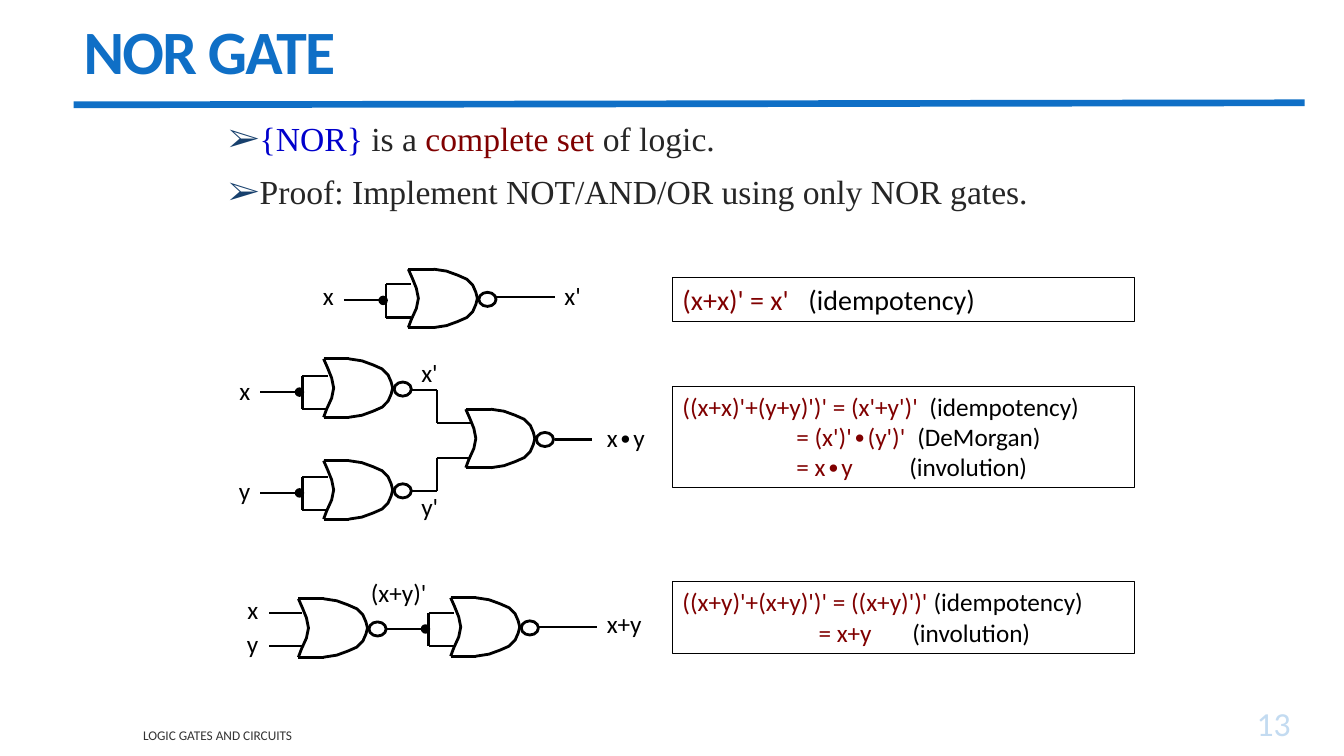
from lxml import etree
from pptx import Presentation
from pptx import util as u
from pptx.dml.color import RGBColor
from pptx.enum import shapes, text as t
from pptx.oxml.ns import qn

BLACK, BLUE, MAROON, GREY = "000000", "0F6FC6", "800000", "262626"

presentation = Presentation()
presentation.slide_width = u.Inches(13.33)
presentation.slide_height = u.Inches(7.5)
slide = presentation.slides.add_slide(presentation.slide_layouts[6])


def color(hex_string):
    return RGBColor.from_string(hex_string)


def write(paragraphs, box, size=18, font="Calibri", bold=False, spacing=None,
          align=t.PP_ALIGN.LEFT, anchor=t.MSO_ANCHOR.TOP, before=0,
          line_spacing=None, bullet=None, tabs=(), border=None):
    shape = slide.shapes.add_textbox(*[u.Inches(value) for value in box])
    if border:
        shape.line.color.rgb = color(border)
        shape.line.width = u.Pt(0.75)
    frame = shape.text_frame
    frame.word_wrap = True
    frame.vertical_anchor = anchor
    for index, runs in enumerate(paragraphs):
        paragraph = frame.add_paragraph() if index else frame.paragraphs[0]
        paragraph.alignment = align
        paragraph.space_before = u.Pt(before if index else 0)
        if line_spacing:
            paragraph.line_spacing = line_spacing
        properties = paragraph._p.get_or_add_pPr()
        if bullet:
            properties.set("marL", str(u.Inches(0.27)))
            properties.set("indent", str(-u.Inches(0.27)))
            bullet_color = etree.SubElement(properties, qn("a:buClr"))
            etree.SubElement(bullet_color, qn("a:srgbClr"), val=bullet)
            etree.SubElement(properties, qn("a:buFont"), typeface=font)
            etree.SubElement(properties, qn("a:buChar"), char="➢")
        if tabs and tabs[index]:
            tab_list = etree.SubElement(properties, qn("a:tabLst"))
            for stop in tabs[index]:
                etree.SubElement(tab_list, qn("a:tab"), pos=str(u.Inches(stop)), algn="l")
        for words, hex_string in runs:
            run = paragraph.add_run()
            run.text = words
            run.font.size = u.Pt(size)
            run.font.name = font
            run.font.bold = bold
            run.font.color.rgb = color(hex_string)
            if spacing:
                run._r.get_or_add_rPr().set("spc", str(spacing))


write([[("LOGIC GATES AND CIRCUITS", "333333")]], (1.32, 7.17, 7.52, 0.25),
      size=9.5, anchor=t.MSO_ANCHOR.MIDDLE)
write([[("13", "C3DBF1")]], (11.6, 7, 1.3, 0.42), size=24,
      align=t.PP_ALIGN.RIGHT, anchor=t.MSO_ANCHOR.BOTTOM)
write([[("NOR GATE", BLUE)]], (0.73, 0.08, 11.78, 0.94), size=44, bold=True,
      spacing=-120, line_spacing=0.85, anchor=t.MSO_ANCHOR.MIDDLE)
write([[("{NOR} ", "0000CC"), ("is a ", GREY), ("complete set ", MAROON), ("of logic.", GREY)],
       [("Proof: Implement NOT/AND/OR using only NOR gates.", GREY)]],
      (2.17, 1.17, 9, 1.33), size=24, font="Times New Roman", before=12,
      line_spacing=0.9, bullet="17406D")

write([[("(x+x)' = x'", MAROON), ("\t(idempotency)", BLACK)]],
      (6.67, 2.75, 4.58, 0.44), size=20, tabs=[[1.25]], border=BLACK)
write([[("((x+x)'+(y+y)')' = (x'+y')'", MAROON), ("\t(idempotency)", BLACK)],
       [("\t= (x')'∙(y')'", MAROON), ("\t(DeMorgan)", BLACK)],
       [("\t= x∙y", MAROON), ("\t(involution)", BLACK)]],
      (6.67, 3.83, 4.58, 1.01), tabs=[[2.45], [1.13, 2.33], [1.13, 2.25]], border=BLACK)
write([[("((x+y)'+(x+y)')' = ((x+y)')'", MAROON), (" (idempotency)", BLACK)],
       [("\t= x+y", MAROON), ("\t(involution)", BLACK)]],
      (6.67, 5.77, 4.58, 0.71), tabs=[[], [1.35, 2.28]], border=BLACK)

for label, left, top in [("x", 3.08, 2.73), ("x", 2.25, 3.67), ("y", 2.25, 4.67),
                         ("x", 2.33, 5.85), ("y", 2.33, 6.18)]:
    write([[(label, BLACK)]], (left, top, 0.33, 0.4), align=t.PP_ALIGN.RIGHT)
for label, left, top, width in [("x'", 5.5, 2.73, 0.5), ("x∙y", 5.92, 4.14, 0.67),
                                ("x'", 4.08, 3.5, 0.42), ("y'", 4.08, 4.83, 0.42),
                                ("x+y", 5.92, 5.99, 0.67), ("(x+y)'", 3.58, 5.68, 0.83)]:
    write([[(label, BLACK)]], (left, top, width, 0.4))

gates = [(4.05, 2.67), (4.62, 4.06), (3.21, 4.57), (3.21, 3.56), (4.47, 5.93), (2.96, 5.94)]
tied_inputs = [(3.83, 2.98), (3, 3.89), (3, 4.89), (4.25, 6.24)]
wires = [(4.92, 2.95, 5.5, 2.95), (5.5, 4.36, 5.87, 4.36),
         (4.33, 4.2, 4.67, 4.2), (4.33, 4.54, 4.67, 4.54),
         (4.08, 3.87, 4.33, 3.87), (4.08, 4.87, 4.33, 4.87),
         (4.33, 3.87, 4.33, 4.2), (4.33, 4.54, 4.33, 4.87),
         (5.33, 6.22, 5.92, 6.22), (2.67, 6.08, 3, 6.08), (2.67, 6.41, 3, 6.41)]
for x, y in tied_inputs:
    upper, lower = y - 0.16, y + 0.17
    wires += [(x - 0.42, y, x, y), (x, upper, x + 0.25, upper),
              (x, lower, x + 0.25, lower), (x, lower, x, upper)]
edges = [(x, y + drop, x + 0.25, y + drop) for x, y in gates for drop in (0, 0.58)]

lines = [((0.73, 1.04, 12.94, 1.02), BLUE, 4.75)]
lines += [(wire, BLACK, 1.5) for wire in wires]
lines += [(edge, BLACK, 2) for edge in edges]
for ends, hex_string, width in lines:
    connector = slide.shapes.add_connector(
        shapes.MSO_CONNECTOR.STRAIGHT, *[u.Inches(value) for value in ends])
    connector.line.color.rgb = color(hex_string)
    connector.line.width = u.Pt(width)
    etree.SubElement(connector._element.spPr, qn("a:effectLst"))

back = [(0, 0), (0.04, 0.09), (0.08, 0.19), (0.1, 0.29), (0.08, 0.39), (0.03, 0.5), (0, 0.58)]
top_side = [(0.25, 0), (0.38, 0.02), (0.49, 0.06), (0.58, 0.1),
            (0.64, 0.16), (0.67, 0.23), (0.69, 0.31)]
bottom_side = [(x, 0.58 - y) for x, y in top_side]

for left, top in gates:
    for curve in (back, top_side, bottom_side):
        points = [(u.Inches(left + x), u.Inches(top + y)) for x, y in curve]
        builder = slide.shapes.build_freeform(*points[0])
        builder.add_line_segments(points[1:], close=False)
        outline = builder.convert_to_shape()
        outline.shadow.inherit = False
        outline.fill.background()
        outline.line.color.rgb = color(BLACK)
        outline.line.width = u.Pt(2)

circles = [((x + 0.7, y + 0.23, 0.17, 0.14), False, 2) for x, y in gates]
circles += [((x - 0.07, y - 0.04, 0.08, 0.08), True, 1) for x, y in tied_inputs]
for box, filled, width in circles:
    circle = slide.shapes.add_shape(shapes.MSO_SHAPE.OVAL, *[u.Inches(value) for value in box])
    circle.shadow.inherit = False
    if filled:
        circle.fill.solid()
        circle.fill.fore_color.rgb = color(BLACK)
    else:
        circle.fill.background()
    circle.line.color.rgb = color(BLACK)
    circle.line.width = u.Pt(width)

presentation.save("out.pptx")
